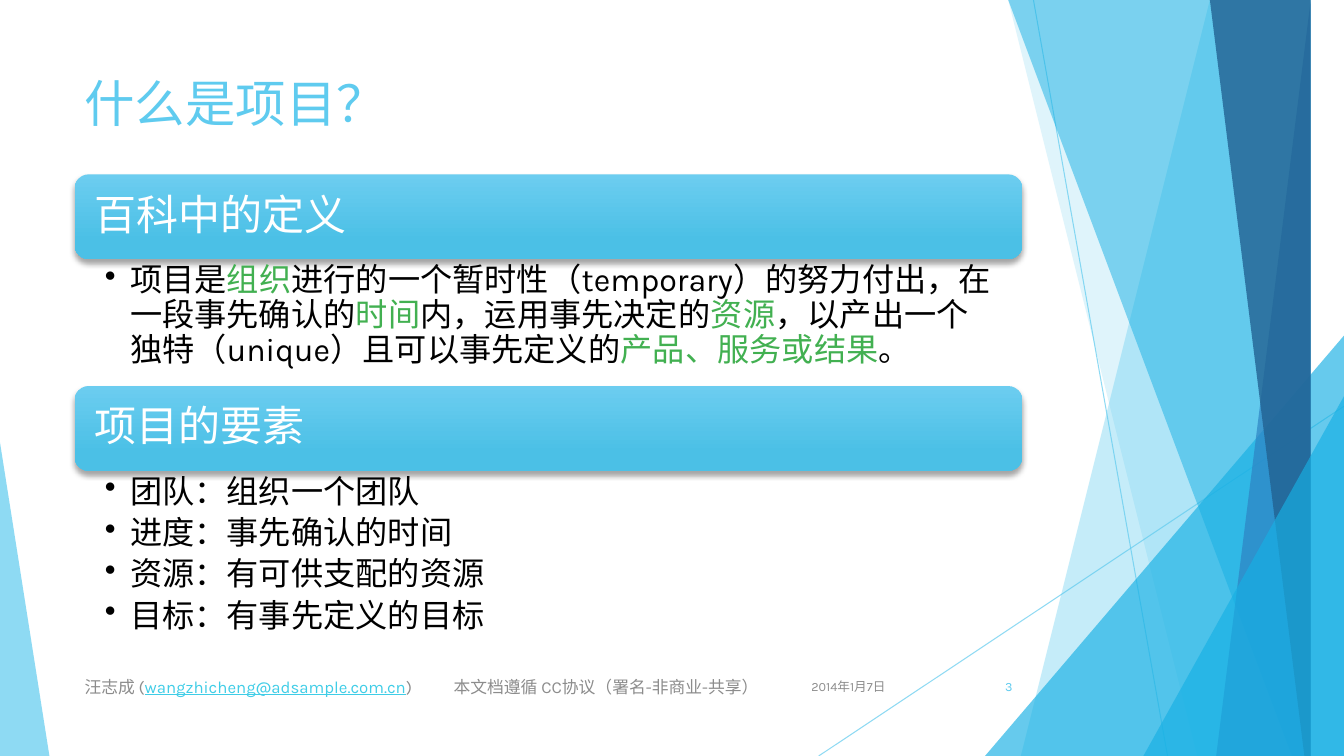
import pptx
import pptx.dml.color
import pptx.enum.shapes
import pptx.enum.text
import pptx.oxml
import pptx.oxml.ns
import pptx.util
from lxml import etree

Inches = pptx.util.Inches
Pt = pptx.util.Pt
SHAPE = pptx.enum.shapes.MSO_SHAPE
ANCHOR = pptx.enum.text.MSO_ANCHOR
ALIGN = pptx.enum.text.PP_ALIGN
qn = pptx.oxml.ns.qn

FONT = "Karla"
SKY, CYAN, GREY, GREEN = "5FCBEF", "17B0E4", "8C8C8C", "42B051"
BLACK, WHITE = "000000", "FFFFFF"
TOP, RIGHT, BOTTOM = -0.01, 13.33, 7.5

DEFINITION = [
    ("项目是", BLACK), ("组织", GREEN),
    ("进行的一个暂时性（temporary）的努力付出，在一段事先确认的", BLACK),
    ("时间", GREEN), ("内，运用事先决定的", BLACK), ("资源", GREEN),
    ("，以产出一个独特（unique）且可以事先定义的", BLACK),
    ("产品、服务或结果", GREEN), ("。", BLACK),
]
ELEMENTS = ["团队：组织一个团队", "进度：事先确认的时间",
            "资源：有可供支配的资源", "目标：有事先定义的目标"]


def color(hex_code):
    return pptx.dml.color.RGBColor.from_string(hex_code)


def set_alpha(shape, percent):
    # The first colour in the properties is the fill or the line colour
    rgb = shape._element.spPr.find(".//" + qn("a:srgbClr"))
    etree.SubElement(rgb, qn("a:alpha"), val=str(percent * 1000))


def paint_facet(shape, hex_code, percent):
    shape.shadow.inherit = False
    shape.fill.solid()
    shape.fill.fore_color.rgb = color(hex_code)
    shape.line.fill.background()
    set_alpha(shape, percent)


def add_ray(slide, start, end):
    ray = slide.shapes.add_connector(
        pptx.enum.shapes.MSO_CONNECTOR.STRAIGHT,
        *(Inches(v) for v in (*start, *end)))
    ray.line.color.rgb = color(SKY)
    ray.line.width = Pt(0.75)
    set_alpha(ray, 70)
    etree.SubElement(ray._element.spPr, qn("a:effectLst"))


def add_band(slide, top_x, bottom_x, hex_code, percent):
    """Facet from a slanted left edge to the right edge of the slide."""
    builder = slide.shapes.build_freeform(top_x, TOP, scale=Inches(1))
    builder.add_line_segments(
        [(RIGHT, TOP), (RIGHT, BOTTOM), (bottom_x, BOTTOM)], close=True)
    paint_facet(builder.convert_to_shape(), hex_code, percent)


def add_corner(slide, left, top, width, apex, hex_code, percent):
    corner = slide.shapes.add_shape(
        SHAPE.ISOSCELES_TRIANGLE, Inches(left), Inches(top),
        Inches(width), Inches(BOTTOM - top))
    corner.adjustments[0] = apex
    paint_facet(corner, hex_code, percent)


def write_runs(paragraph, runs, size):
    for text, hex_code in runs:
        run = paragraph.add_run()
        run.text = text
        run.font.name = FONT
        run.font.size = Pt(size)
        run.font.color.rgb = color(hex_code)


def add_text(slide, left, top, width, height, paragraphs, size,
             anchor=ANCHOR.TOP, align=ALIGN.LEFT):
    box = slide.shapes.add_textbox(*map(Inches, (left, top, width, height)))
    frame = box.text_frame
    frame.word_wrap = True
    frame.vertical_anchor = anchor
    for index, runs in enumerate(paragraphs):
        paragraph = frame.add_paragraph() if index else frame.paragraphs[0]
        paragraph.alignment = align
        write_runs(paragraph, runs, size)
    return frame


def add_heading(slide, top, text):
    bar = slide.shapes.add_shape(SHAPE.ROUNDED_RECTANGLE, Inches(0.74),
                                 Inches(top), Inches(9.4), Inches(0.84))
    bar.line.fill.background()
    bar.fill.gradient()
    bar.fill.gradient_angle = 270
    stops = bar.fill.gradient_stops
    for stop, position, hex_code in zip(stops, (0, 0.78), ("6CCDF0", "4BC0E6")):
        stop.position = position
        stop.color.rgb = color(hex_code)

    # Soft shadow straight below the bar
    bar.shadow.inherit = False
    effects = bar._element.spPr.find(qn("a:effectLst"))
    shadow = etree.SubElement(effects, qn("a:outerShdw"), blurRad=str(Pt(4)),
                              dist=str(Pt(3)), dir="5400000", rotWithShape="0")
    rgb = etree.SubElement(shadow, qn("a:srgbClr"), val=BLACK)
    etree.SubElement(rgb, qn("a:alpha"), val="35000")

    frame = bar.text_frame
    frame.word_wrap = True
    frame.vertical_anchor = ANCHOR.MIDDLE
    frame.margin_left = frame.margin_right = Inches(0.16)
    paragraph = frame.paragraphs[0]
    paragraph.alignment = ALIGN.LEFT
    paragraph.line_spacing = 0.9
    write_runs(paragraph, [(text, WHITE)], 30)


def add_bullets(slide, top, height, paragraphs):
    frame = add_text(slide, 0.74, top, 9.4, height, paragraphs, 23)
    frame.margin_left, frame.margin_right = Inches(0.3), Inches(0.23)
    frame.margin_top = frame.margin_bottom = Inches(0.04)
    for paragraph in frame.paragraphs:
        paragraph.line_spacing = 0.9
        paragraph.space_after = Pt(4.6)
        properties = paragraph._p.get_or_add_pPr()
        properties.set("marL", str(Inches(0.25)))
        properties.set("indent", str(-Inches(0.25)))
        etree.SubElement(properties, qn("a:buChar"), char="•")


def add_backdrop(slide):
    add_ray(slide, (10.25, 0), (11.58, BOTTOM))
    add_ray(slide, (RIGHT, 4.03), (8.12, BOTTOM))
    add_band(slide, 12.28, 10.04, SKY, 36)
    add_band(slide, 10.5, 11.83, SKY, 20)
    add_corner(slide, 9.77, 3.33, 3.56, 1, CYAN, 66)
    add_band(slide, 10.21, 12.91, CYAN, 50)
    add_band(slide, 13.03, 11.92, "2E83C3", 70)
    add_band(slide, 11.96, 13.18, "226292", 80)
    add_corner(slide, 11.34, 3.93, 1.99, 1, CYAN, 66)
    add_corner(slide, 0, 4.39, 0.49, 0, SKY, 70)


def add_footer(slide):
    add_text(slide, 7.88, 6.61, 1, 0.4, [[("2014年1月7日", GREY)]], 9,
             ANCHOR.MIDDLE, ALIGN.RIGHT)
    add_text(slide, 9.39, 6.61, 0.75, 0.4, [[("3", SKY)]], 9,
             ANCHOR.MIDDLE, ALIGN.RIGHT)
    credit = [("汪志成 (", GREY), ("wangzhicheng@adsample.com.cn", "3FCDE7"),
              (")\t本文档遵循 CC协议（署名-非商业-共享）", GREY)]
    frame = add_text(slide, 0.74, 6.61, 6.89, 0.4, [credit], 12, ANCHOR.MIDDLE)
    paragraph = frame.paragraphs[0]
    paragraph.runs[1].font.underline = True
    # A tab stop separates the author from the licence
    tabs = etree.SubElement(paragraph._p.get_or_add_pPr(), qn("a:tabLst"))
    etree.SubElement(tabs, qn("a:tab"), pos=str(Inches(3.66)), algn="l")


def main():
    deck = pptx.Presentation()
    deck.slide_width, deck.slide_height = Inches(RIGHT), Inches(BOTTOM)
    slide = deck.slides.add_slide(deck.slide_layouts[6])

    add_backdrop(slide)
    add_text(slide, 0.74, 0.67, 9.4, 1.44, [[("什么是项目？", SKY)]], 36)

    # Definition and elements of a project
    add_heading(slide, 1.73, "百科中的定义")
    add_bullets(slide, 2.58, 1.26, [DEFINITION])
    add_heading(slide, 3.83, "项目的要素")
    add_bullets(slide, 4.68, 1.87, [[(text, BLACK)] for text in ELEMENTS])

    add_footer(slide)
    deck.save("out.pptx")


main()
